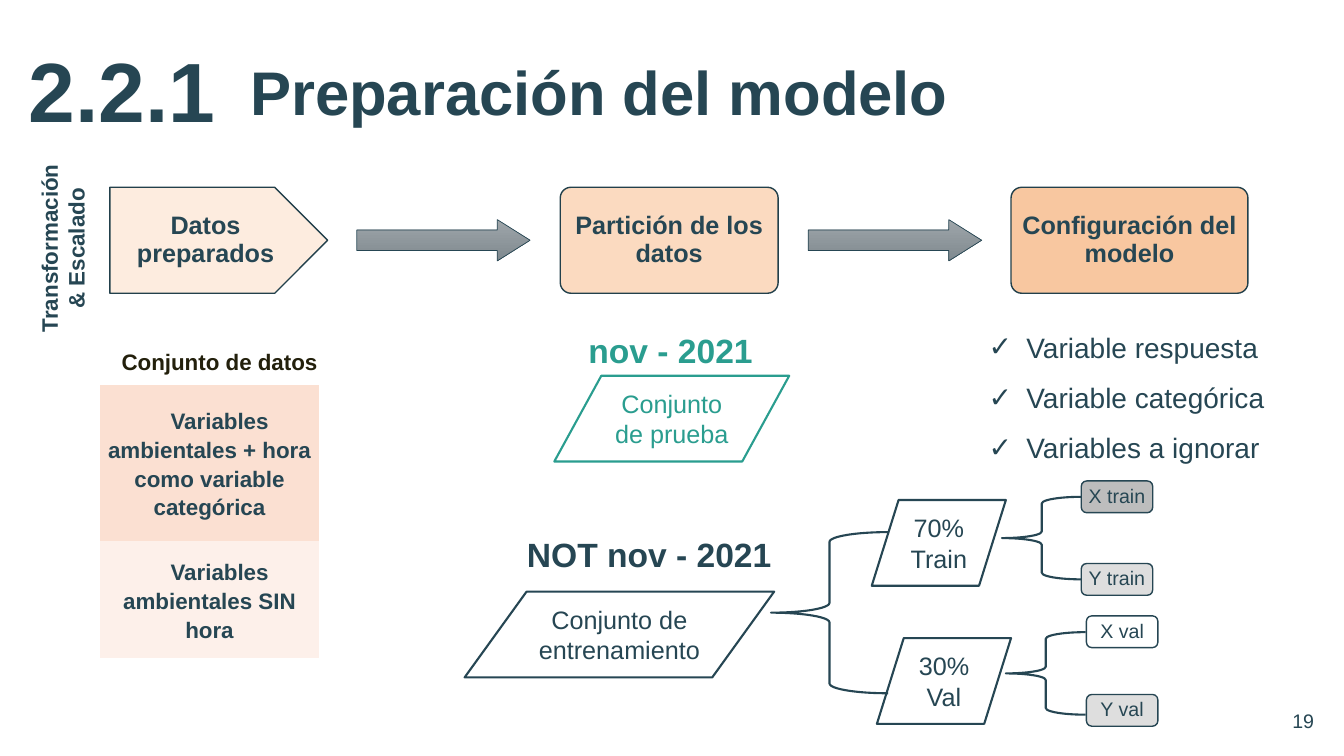
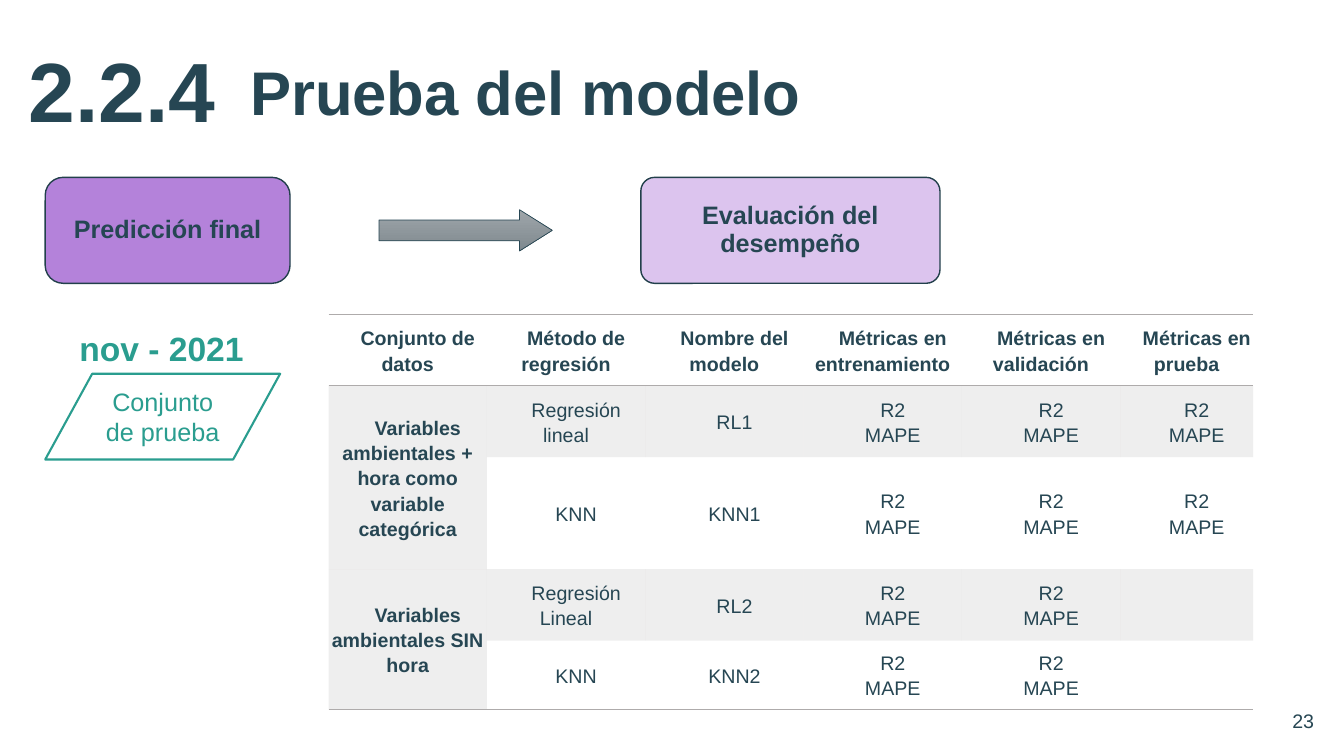
"""Build the two slides on model preparation and model testing."""
import dataclasses
import typing

import lxml.etree
import pptx
import pptx.dml.color
import pptx.enum.shapes
import pptx.enum.text
import pptx.oxml.ns
import pptx.util

Cm = pptx.util.Cm
Pt = pptx.util.Pt
RGBColor = pptx.dml.color.RGBColor
Shapes = pptx.enum.shapes.MSO_SHAPE
Align = pptx.enum.text.PP_ALIGN
Anchor = pptx.enum.text.MSO_ANCHOR
AutoSize = pptx.enum.text.MSO_AUTO_SIZE
qn = pptx.oxml.ns.qn

NAVY = RGBColor(0x26, 0x46, 0x53)
OUTLINE = RGBColor(0x22, 0x40, 0x4B)
TEAL = RGBColor(0x2A, 0x9D, 0x8F)
INK = RGBColor(0x23, 0x20, 0x0C)
WHITE = RGBColor(0xFF, 0xFF, 0xFF)
RULE = RGBColor(0xAE, 0xAB, 0xAB)
PEACH_LIGHT = RGBColor(0xFD, 0xEC, 0xDF)
PEACH = RGBColor(0xFB, 0xDA, 0xC0)
PEACH_DARK = RGBColor(0xF8, 0xC7, 0xA0)
ROSE = RGBColor(0xFB, 0xE0, 0xD2)
ROSE_LIGHT = RGBColor(0xFD, 0xF0, 0xEA)
PURPLE = RGBColor(0xB4, 0x82, 0xDA)
LILAC = RGBColor(0xDC, 0xC4, 0xEE)
GREY = RGBColor(0xBD, 0xBD, 0xBD)
GREY_LIGHT = RGBColor(0xDE, 0xDE, 0xDE)
ARROW_TOP = RGBColor(0x9F, 0xA6, 0xAA)
ARROW_BOTTOM = RGBColor(0x7F, 0x89, 0x8F)

FONT = "Arial"
NO_GRID_STYLE = "{2D5ABB26-0587-4C30-8999-92F81FD0307C}"
STEP_HEIGHT = 2.67
ARROW_HEIGHT = 1.04
DATA_HEIGHT = 2.16
SHADE_ALPHA = 20


@dataclasses.dataclass(frozen=True)
class Box:
    """Position and size in centimetres."""
    left: float
    top: float
    width: float
    height: float

    def lengths(self) -> list:
        """Return the four values as lengths."""
        return [Cm(value) for value in dataclasses.astuple(self)]


@dataclasses.dataclass(frozen=True)
class Style:
    """Look of a text."""
    size: float
    color: RGBColor = NAVY
    bold: bool = False
    align: Align = Align.CENTER
    spacing: float = 1.0


@dataclasses.dataclass(frozen=True)
class Node:
    """Filled and labelled shape of a process."""
    label: str
    box: Box
    fill: RGBColor
    kind: Shapes = Shapes.ROUNDED_RECTANGLE
    corner: typing.Optional[float] = 0.1


TITLE = Style(44, bold=True, align=Align.LEFT, spacing=0.9)
NUMBER = Style(60, bold=True, align=Align.LEFT, spacing=0.9)
PAGE = Style(14, align=Align.RIGHT)
STEP = Style(18, bold=True, spacing=0.9)
VARIABLE = Style(14, spacing=0.9)
DATA = Style(18)
CHECK = Style(20, align=Align.LEFT, spacing=1.5)
PERIOD = Style(24, bold=True, align=Align.LEFT)
DATASET = Style(16, bold=True, spacing=1.15)
METRIC = Style(14, spacing=1.15)
METRIC_HEAD = dataclasses.replace(METRIC, bold=True)


def write(frame, text: str, style: Style) -> None:
    """Fill a text frame, one paragraph for each line."""
    for index, line in enumerate(text.split("\n")):
        paragraph = frame.add_paragraph() if index else frame.paragraphs[0]
        paragraph.alignment = style.align
        paragraph.line_spacing = style.spacing
        paragraph.space_before = Pt(0)
        run = paragraph.add_run()
        run.text = line
        run.font.name = FONT
        run.font.size = Pt(style.size)
        run.font.bold = style.bold
        run.font.color.rgb = style.color


def place(shape, box: Box) -> None:
    """Move and size a placeholder."""
    shape.left, shape.top, shape.width, shape.height = box.lengths()


def add_text(slide, text: str, box: Box, style: Style,
             anchor: Anchor = Anchor.TOP, wrap: bool = True):
    """Add a text box."""
    holder = slide.shapes.add_textbox(*box.lengths())
    frame = holder.text_frame
    frame.word_wrap = wrap
    frame.auto_size = AutoSize.NONE if wrap else AutoSize.SHAPE_TO_FIT_TEXT
    frame.vertical_anchor = anchor
    write(frame, text, style)
    return holder


def add_outline(slide, kind: Shapes, box: Box, color: RGBColor, width: float):
    """Add an unfilled preset shape."""
    shape = slide.shapes.add_shape(kind, *box.lengths())
    shape.shadow.inherit = False
    shape.fill.background()
    shape.line.color.rgb = color
    shape.line.width = Pt(width)
    return shape


def add_node(slide, node: Node, style: Style, border: RGBColor) -> None:
    """Add a filled process shape."""
    shape = add_outline(slide, node.kind, node.box, border, 1)
    shape.fill.solid()
    shape.fill.fore_color.rgb = node.fill
    if node.corner is not None:
        shape.adjustments[0] = node.corner
    frame = shape.text_frame
    frame.margin_left = frame.margin_right = Cm(0.1)
    frame.margin_top = frame.margin_bottom = Cm(0.1)
    frame.vertical_anchor = Anchor.MIDDLE
    frame.word_wrap = True
    write(frame, node.label, style)


def add_arrow(slide, left: float, step_top: float) -> None:
    """Add a shaded arrow, centred on the height of the steps."""
    top = step_top + (STEP_HEIGHT - ARROW_HEIGHT) / 2
    arrow = add_outline(slide, Shapes.RIGHT_ARROW,
                        Box(left, top, 4.37, ARROW_HEIGHT), NAVY, 0.5)
    arrow.adjustments[0], arrow.adjustments[1] = 0.5, 0.795
    arrow.fill.gradient()
    arrow.fill.gradient_angle = 270
    for stop, color in zip(arrow.fill.gradient_stops, (ARROW_TOP, ARROW_BOTTOM)):
        stop.color.rgb = color


def add_data(slide, label: str, left: float, top: float, width: float,
             color: RGBColor = NAVY) -> None:
    """Add a data parallelogram."""
    shape = add_outline(slide, Shapes.FLOWCHART_DATA,
                        Box(left, top, width, DATA_HEIGHT), color, 1.5)
    shape.text_frame.word_wrap = True
    shape.text_frame.vertical_anchor = Anchor.MIDDLE
    write(shape.text_frame, label, dataclasses.replace(DATA, color=color))


def add_test_set(slide, left: float, top: float) -> None:
    """Add the test data with its period above."""
    add_text(slide, "nov - 2021", Box(left + 0.61, top - 1.28, 4.7, 1.27),
             dataclasses.replace(PERIOD, color=TEAL), wrap=False)
    add_data(slide, "Conjunto de prueba", left, top, 5.92, TEAL)


def add_grid(slide, left: float, top: float, widths: list, heights: list):
    """Add an unstyled table."""
    grid = slide.shapes.add_table(
        len(heights), len(widths), Cm(left), Cm(top),
        Cm(sum(widths)), Cm(sum(heights))).table
    grid.first_row = grid.horz_banding = False
    grid._tbl.tblPr.find(qn("a:tableStyleId")).text = NO_GRID_STYLE
    for column, width in zip(grid.columns, widths):
        column.width = Cm(width)
    for row, height in zip(grid.rows, heights):
        row.height = Cm(height)
    return grid


def fill_cell(cell, text: str, style: Style, fill: typing.Optional[RGBColor] = None,
              alpha: int = 100) -> None:
    """Write a table cell and set its fill."""
    cell.margin_left = cell.margin_right = cell.margin_top = cell.margin_bottom = 0
    cell.vertical_anchor = Anchor.MIDDLE
    if text:
        write(cell.text_frame, text, style)
    for paragraph in cell.text_frame.paragraphs:
        properties = paragraph._p.get_or_add_pPr()
        properties.set("marL", "0")
        properties.set("indent", str(Cm(0.51)))
    if fill is None:
        cell.fill.background()
        return
    cell.fill.solid()
    cell.fill.fore_color.rgb = fill
    if alpha < 100:
        color = cell._tc.tcPr.find(".//" + qn("a:srgbClr"))
        lxml.etree.SubElement(color, qn("a:alpha"), val=str(alpha * 1000))


def rule_cell(cell, edges: tuple) -> None:
    """Draw the named edges of a table cell."""
    properties = cell._tc.get_or_add_tcPr()
    for position, edge in enumerate(edges):
        line = lxml.etree.Element(qn("a:" + edge), w=str(Pt(1)))
        solid = lxml.etree.SubElement(line, qn("a:solidFill"))
        lxml.etree.SubElement(solid, qn("a:srgbClr"), val=str(RULE))
        properties.insert(position, line)


def add_slide(deck, layout: int, number: str, title: str, page: str):
    """Add a slide with its section number, title and page number."""
    slide = deck.slides.add_slide(deck.slide_layouts[layout])
    heading = slide.shapes.title
    place(heading, Box(6.05, 1.42, 18.69, 1.96))
    heading.text_frame.vertical_anchor = Anchor.MIDDLE
    heading.text_frame.auto_size = AutoSize.NONE
    write(heading.text_frame, title, TITLE)
    add_text(slide, number, Box(0.48, 0.74, 5.54, 3.33), NUMBER, Anchor.MIDDLE)
    add_text(slide, page, Box(32.13, 17.65, 1.24, 1.02), PAGE, Anchor.MIDDLE)
    return slide


def build_preparation(deck) -> None:
    """Build the slide on preparing the model."""
    slide = add_slide(deck, 1, "2.2.1", "Preparación del modelo", "19")
    top = 4.72
    for step in (
        Node("Datos preparados", Box(2.77, top, 5.49, STEP_HEIGHT), PEACH_LIGHT,
             Shapes.PENTAGON, None),
        Node("Partición de los datos", Box(14.12, top, 5.49, STEP_HEIGHT), PEACH),
        Node("Configuración del modelo", Box(25.48, top, 5.97, STEP_HEIGHT), PEACH_DARK),
    ):
        add_node(slide, step, STEP, OUTLINE)
    for left in (8.99, 20.37):
        add_arrow(slide, left, top)

    datasets = add_grid(slide, 2.51, 8.48, [5.54], [1.22, 3.94, 2.95])
    for row, (text, color, fill) in enumerate((
        ("Conjunto de datos", INK, WHITE),
        ("Variables ambientales + hora como variable categórica", NAVY, ROSE),
        ("Variables ambientales SIN hora", NAVY, ROSE_LIGHT),
    )):
        fill_cell(datasets.cell(row, 0), text,
                  dataclasses.replace(DATASET, color=color), fill)
    scaling = add_text(slide, "Transformación & Escalado", Box(-0.84, 5.44, 4.85, 1.63),
                       Style(16, bold=True))
    scaling.rotation = 270

    add_test_set(slide, 13.97, 9.47)
    add_data(slide, "Conjunto de entrenamiento", 11.71, 14.91, 7.8)
    add_text(slide, "NOT nov - 2021", Box(13.03, 13.34, 6.73, 1.27), PERIOD, wrap=False)

    checklist = slide.placeholders[1]
    place(checklist, Box(24.66, 7.77, 7.62, 3.94))
    checklist.text_frame.auto_size = AutoSize.NONE
    write(checklist.text_frame,
          "Variable respuesta\nVariable categórica\nVariables a ignorar", CHECK)
    for paragraph in checklist.text_frame.paragraphs:
        properties = paragraph._p.get_or_add_pPr()
        properties.set("marL", str(Cm(0.95)))
        properties.set("indent", str(-Cm(0.95)))
        lxml.etree.SubElement(properties, qn("a:buChar"), char="✓")

    add_data(slide, "70% Train", 21.97, 12.6, 3.38)
    add_data(slide, "30% Val", 22.1, 16.08, 3.38)
    for brace in (Box(19.43, 13.41, 2.95, 4.06), Box(25.25, 12.52, 2.01, 2.08),
                  Box(25.35, 15.93, 2.01, 2.08)):
        add_outline(slide, Shapes.LEFT_BRACE, brace, NAVY, 1.5)
    for label, left, node_top, fill in (
        ("X train", 27.25, 12.12, GREY), ("Y train", 27.25, 14.2, GREY_LIGHT),
        ("X val", 27.38, 15.52, WHITE), ("Y val", 27.38, 17.5, GREY_LIGHT),
    ):
        node = Node(label, Box(left, node_top, 1.8, 0.8), fill, corner=0.17)
        add_node(slide, node, VARIABLE, NAVY)


def build_test(deck) -> None:
    """Build the slide on testing the model."""
    slide = add_slide(deck, 5, "2.2.4", "Prueba del modelo", "23")
    top = 4.47
    for step in (
        Node("Predicción final", Box(1.14, top, 6.17, STEP_HEIGHT), PURPLE, corner=0.17),
        Node("Evaluación del desempeño", Box(16.15, top, 7.54, STEP_HEIGHT), LILAC,
             corner=0.13),
    ):
        add_node(slide, step, STEP, OUTLINE)
    add_arrow(slide, 9.55, top)
    add_test_set(slide, 1.14, 9.42)

    scores = "R2\nMAPE"
    rows = (
        ("Conjunto de datos", "Método de regresión", "Nombre del modelo",
         "Métricas en entrenamiento", "Métricas en validación", "Métricas en prueba"),
        ("Variables ambientales + hora como variable categórica",
         "Regresión lineal", "RL1", scores, scores, scores),
        ("", "KNN", "KNN1", scores, scores, scores),
        ("Variables ambientales SIN hora", "Regresión Lineal", "RL2", scores, scores, ""),
        ("", "KNN", "KNN2", scores, scores, ""),
    )
    metrics = add_grid(slide, 8.28, 7.92, [3.99] * 5 + [3.35], [1.8, 1.8, 2.82, 1.8, 1.73])
    for first in (1, 3):
        metrics.cell(first, 0).merge(metrics.cell(first + 1, 0))
    for row, texts in enumerate(rows):
        for column, text in enumerate(texts):
            cell = metrics.cell(row, column)
            head = row == 0 or column == 0
            shaded = row % 2 == 1 or (row > 0 and column == 0)
            fill_cell(cell, text, METRIC_HEAD if head else METRIC,
                      RULE if shaded else None, SHADE_ALPHA)
            if row == 0:
                rule_cell(cell, ("lnT", "lnB"))
            elif row == 4 or (row == 3 and column == 0):
                rule_cell(cell, ("lnB",))


def main() -> None:
    """Build and save the deck."""
    deck = pptx.Presentation()
    deck.slide_width, deck.slide_height = Cm(33.87), Cm(19.05)
    build_preparation(deck)
    build_test(deck)
    deck.save("out.pptx")


if __name__ == "__main__":
    main()
